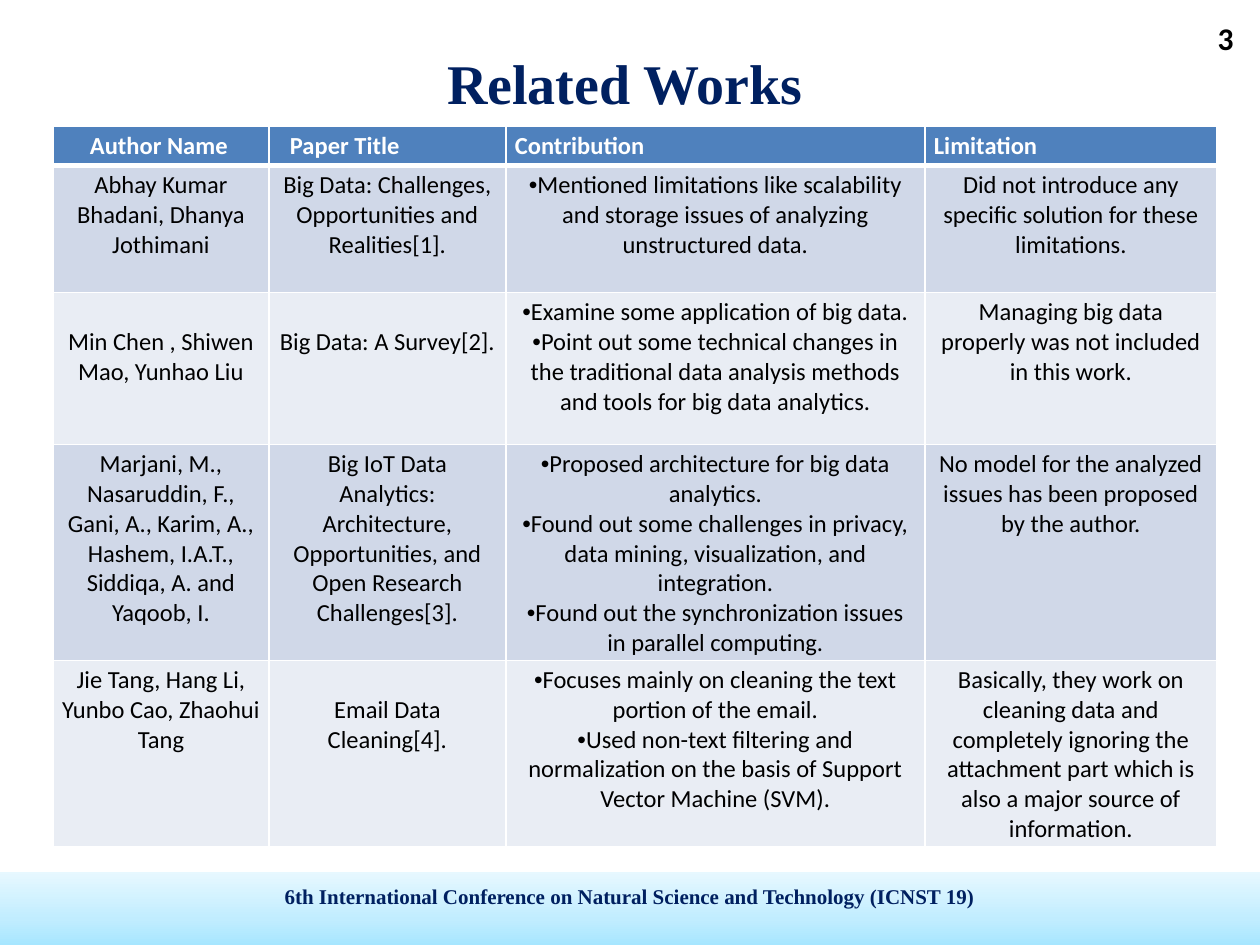
from copy import deepcopy
from dataclasses import dataclass

from lxml import etree
from pptx import Presentation, util as u
from pptx.dml.color import RGBColor
from pptx.enum import shapes, text
from pptx.oxml.ns import qn

TITLE = "Related Works"
FOOTER = "6th International Conference on Natural Science and Technology (ICNST 19)"
PAGE_NUMBER = "3"

# Heading and extra left inset in px
HEADINGS = [("Author Name", 28), ("Paper Title", 12), ("Contribution", 0), ("Limitation", 0)]

# Author, paper, contributions, limitation
WORKS = [
    ("Abhay Kumar Bhadani, Dhanya Jothimani",
     "Big Data: Challenges, Opportunities and Realities[1].",
     ["Mentioned limitations like scalability and storage issues of analyzing "
      "unstructured data."],
     "Did not introduce any specific solution for these limitations."),
    ("Min Chen , Shiwen Mao, Yunhao Liu",
     "Big Data: A Survey[2].",
     ["Examine some application of big data.",
      "Point out some technical changes in the traditional data analysis methods "
      "and tools for big data analytics."],
     "Managing big data properly was not included in this work."),
    ("Marjani, M., Nasaruddin, F., Gani, A., Karim, A., Hashem, I.A.T., "
     "Siddiqa, A. and Yaqoob, I.",
     "Big IoT Data Analytics: Architecture, Opportunities, and Open Research "
     "Challenges[3].",
     ["Proposed architecture for big data analytics.",
      "Found out some challenges in privacy, data mining, visualization, and "
      "integration.",
      "Found out the synchronization issues in parallel computing."],
     "No model for the analyzed issues has been proposed by the author."),
    ("Jie Tang, Hang Li, Yunbo Cao, Zhaohui Tang",
     "Email Data Cleaning[4].",
     ["Focuses mainly on cleaning the text portion of the email.",
      "Used non-text filtering and normalization on the basis of Support Vector "
      "Machine (SVM)."],
     "Basically, they work on cleaning data and completely ignoring the attachment "
     "part which is also a major source of information."),
]
LOWERED_CELLS = {(2, 0), (2, 1), (4, 1)}  # (row, column) starting one line lower

COLUMN_WIDTHS = [216, 237, 419, 292]
ROW_HEIGHTS = [39, 127, 152, 215, 186]
INSET_X, INSET_Y, LINE_HEIGHT = 9, 5, 30


@dataclass(frozen=True)
class Theme:
    serif: str = "Times New Roman"
    sans: str = "Calibri"
    navy: str = "002060"
    black: str = "000000"
    white: str = "FFFFFF"
    header: str = "4F81BD"
    bands: tuple = ("D0D8E8", "E9EDF4")
    footer: tuple = ((0, "A7E6FF"), (0.35, "C1EDFF"), (1, "E7F8FF"))
    title_size: int = 32
    number_size: int = 18
    table_size: int = 14
    footer_size: int = 12
    rule: int = 1
    header_rule: int = 3


THEME = Theme()


def px(value):
    return u.Emu(round(value * u.Inches(1) / 126))


def rgb(value):
    return RGBColor.from_string(value)


def style(paragraph, name, size, color, bold=False, align=text.PP_ALIGN.CENTER):
    paragraph.alignment = align
    font = paragraph.font
    font.name, font.size, font.bold = name, u.Pt(size), bold
    font.color.rgb = rgb(color)


def add_label(slide, box, words, *font):
    frame = slide.shapes.add_textbox(*map(px, box)).text_frame
    frame.word_wrap = True
    frame.text = words
    style(frame.paragraphs[0], *font)
    return frame


def add_footer(slide):
    band = slide.shapes.add_shape(shapes.MSO_SHAPE.RECTANGLE, *map(px, (0, 872, 1260, 73)))
    band.shadow.inherit = False
    band.line.fill.background()
    band.fill.gradient()
    band.fill.gradient_angle = 90
    stop_list = band._element.spPr.find(".//" + qn("a:gsLst"))
    stop_list.insert(1, deepcopy(stop_list[0]))
    for stop, (position, color) in zip(band.fill.gradient_stops, THEME.footer):
        stop.position = position
        stop.color.rgb = rgb(color)
    frame = band.text_frame
    frame.vertical_anchor = text.MSO_ANCHOR.MIDDLE
    frame.margin_bottom = px(30)
    frame.text = FOOTER
    style(frame.paragraphs[0], THEME.serif, THEME.footer_size, THEME.navy, True)


def add_bullet(paragraph):
    properties = paragraph._p.get_or_add_pPr()
    properties.set("marL", "0")
    properties.set("indent", "0")
    etree.SubElement(properties, qn("a:buFont"), typeface="Arial")
    etree.SubElement(properties, qn("a:buChar"), char="•")


def set_borders(cell, top, bottom):
    """Draw white rules on all sides; they must precede the fill in the XML."""
    properties = cell._tc.get_or_add_tcPr()
    sides = (("L", THEME.rule), ("R", THEME.rule), ("T", top), ("B", bottom))
    for index, (side, width) in enumerate(sides):
        line = etree.Element(qn(f"a:ln{side}"), w=str(u.Pt(width)))
        fill = etree.SubElement(line, qn("a:solidFill"))
        etree.SubElement(fill, qn("a:srgbClr"), val=THEME.white)
        properties.insert(index, line)


def fill_cell(cell, words, fill, top=0, left=0):
    """Write words; top and left are extra insets in px."""
    cell.margin_left, cell.margin_right = px(INSET_X + left), px(INSET_X)
    cell.margin_top, cell.margin_bottom = px(INSET_Y + top), px(INSET_Y)
    cell.fill.solid()
    cell.fill.fore_color.rgb = rgb(fill)
    cell.text = "\n".join(words) if isinstance(words, list) else words
    return cell.text_frame.paragraphs


def add_works_table(slide):
    box = (53, 126, sum(COLUMN_WIDTHS), sum(ROW_HEIGHTS))
    table = slide.shapes.add_table(len(ROW_HEIGHTS), len(COLUMN_WIDTHS), *map(px, box)).table
    for column, width in zip(table.columns, COLUMN_WIDTHS):
        column.width = px(width)
    for row, height in zip(table.rows, ROW_HEIGHTS):
        row.height = px(height)

    for column, (heading, left) in enumerate(HEADINGS):
        cell = table.cell(0, column)
        paragraph = fill_cell(cell, heading, THEME.header, left=left)[0]
        style(paragraph, THEME.sans, THEME.table_size, THEME.white, True, text.PP_ALIGN.LEFT)
        set_borders(cell, THEME.rule, THEME.header_rule)

    for row, work in enumerate(WORKS, start=1):
        for column, words in enumerate(work):
            cell = table.cell(row, column)
            top = LINE_HEIGHT if (row, column) in LOWERED_CELLS else 0
            for paragraph in fill_cell(cell, words, THEME.bands[(row - 1) % 2], top):
                style(paragraph, THEME.sans, THEME.table_size, THEME.black)
                if isinstance(words, list):
                    add_bullet(paragraph)
            set_borders(cell, THEME.header_rule if row == 1 else THEME.rule, THEME.rule)


def main():
    presentation = Presentation()
    presentation.slide_width, presentation.slide_height = px(1260), px(945)
    slide = presentation.slides.add_slide(presentation.slide_layouts[6])
    title = add_label(slide, (63, 38, 1124, 88), TITLE,
                      THEME.serif, THEME.title_size, THEME.navy, True)
    title.vertical_anchor = text.MSO_ANCHOR.MIDDLE
    add_footer(slide)
    add_label(slide, (1197, 13, 57, 50), PAGE_NUMBER,
              THEME.sans, THEME.number_size, THEME.black, True)
    add_works_table(slide)
    presentation.save("out.pptx")


if __name__ == "__main__":
    main()
